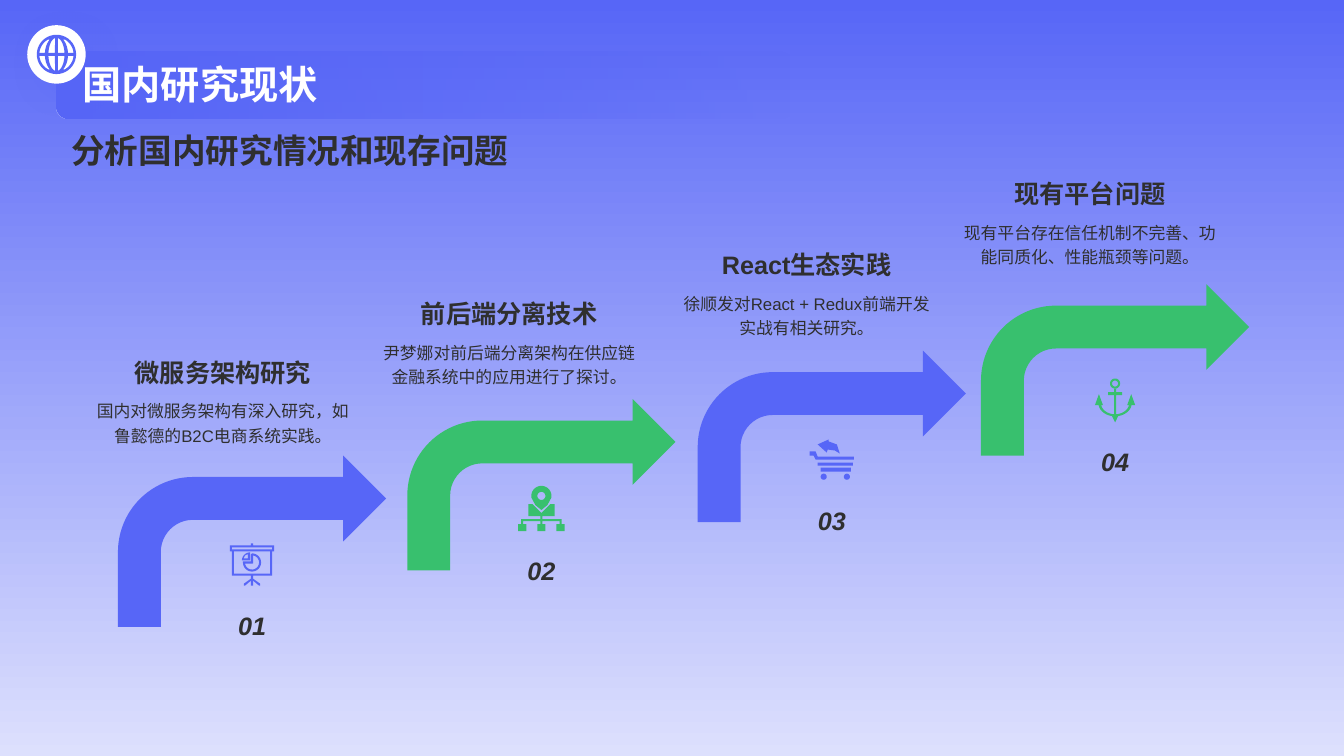
import dataclasses
import math

import lxml.etree
import pptx
import pptx.dml.color
import pptx.enum.shapes
import pptx.enum.text
import pptx.oxml.ns
import pptx.util

Inches = pptx.util.Inches
SHAPE = pptx.enum.shapes.MSO_SHAPE
ALIGN = pptx.enum.text.PP_ALIGN
ANCHOR = pptx.enum.text.MSO_ANCHOR


@dataclasses.dataclass(frozen=True)
class Theme:
    """Colours and type sizes of the slide."""
    blue: str = "5766F7"
    pale: str = "DDE0FD"
    green: str = "38C06E"
    white: str = "FFFFFF"
    ink: str = "2F2F2F"
    font: str = "Arial"
    title: int = 28
    subtitle: int = 24
    heading: int = 18
    body: int = 12


THEME = Theme()


def rgb(code):
    """Turn a hex code into a colour."""
    return pptx.dml.color.RGBColor.from_string(code)


def add_xml(parent, tag, **attributes):
    """Append a DrawingML element with the given attributes."""
    return lxml.etree.SubElement(parent, pptx.oxml.ns.qn(tag), attributes)


def set_gradient(fill, colours, angle):
    """Fill with a two-stop linear gradient."""
    fill.gradient()
    fill.gradient_angle = angle
    for stop, code in zip(fill.gradient_stops, colours):
        stop.color.rgb = rgb(code)


def write_text(shape, text, size, colour=THEME.ink, anchor=ANCHOR.TOP,
               align=ALIGN.LEFT, spacing=1.0, **font_values):
    """Put one formatted paragraph into a shape."""
    frame = shape.text_frame
    frame.text = text
    paragraph = frame.paragraphs[0]
    formats = {
        frame: {"word_wrap": True, "vertical_anchor": anchor,
                "auto_size": pptx.enum.text.MSO_AUTO_SIZE.NONE},
        paragraph: {"alignment": align, "line_spacing": spacing},
        paragraph.runs[0].font: {"name": THEME.font, "size": pptx.util.Pt(size), **font_values},
    }
    for target, values in formats.items():
        for name, value in values.items():
            setattr(target, name, value)
    paragraph.runs[0].font.color.rgb = rgb(colour)


def add_text(slide, box, text, size, **values):
    """Add a text box at left, top, width, height."""
    write_text(slide.shapes.add_textbox(*map(Inches, box)), text, size, **values)


def paint(shape, colour):
    """Give a shape a solid fill with no line or shadow."""
    shape.shadow.inherit = False
    shape.line.fill.background()
    shape.fill.solid()
    shape.fill.fore_color.rgb = rgb(colour)


def add_preset(slide, kind, box, colour):
    """Add a plain filled preset shape."""
    shape = slide.shapes.add_shape(kind, *map(Inches, box))
    paint(shape, colour)
    return shape


def arc(x, y, width, height, start=0, end=360):
    """List points along an ellipse with the given radii."""
    steps = max(4, abs(end - start) // 9)
    angles = [math.radians(start + (end - start) * i / steps) for i in range(steps + 1)]
    return [(x + width * math.cos(a), y + height * math.sin(a)) for a in angles]


def rectangle(left, top, right, bottom):
    """List the corners of a rectangle."""
    return [(left, top), (right, top), (right, bottom), (left, bottom)]


def mirror(points, horizontal=-1, vertical=1):
    """Scale points by a sign on each axis."""
    return [(x * horizontal, y * vertical) for x, y in points]


def globe():
    """Outline a globe with meridians and an equator."""
    inner = [(0.015, 0.015)] + arc(0, 0, 0.08, 0.165, 5, 80)
    outer = arc(0, 0, 0.17, 0.17, 5, 60) + arc(0, 0, 0.115, 0.18, 55, 5)
    return [arc(0, 0, 0.195, 0.195)] + [
        mirror(cell, x, y) for cell in (inner, outer) for x in (-1, 1) for y in (-1, 1)]


def board():
    """Outline a presentation board with a pie chart."""
    leg = [(0.01, 0.14), (0.08, 0.19), (0.08, 0.21), (0.07, 0.21), (0.01, 0.16)]
    return [
        rectangle(-0.22, -0.19, 0.22, -0.13), rectangle(-0.2, -0.17, 0.2, -0.15),
        rectangle(-0.2, -0.13, 0.2, 0.11), rectangle(-0.18, -0.13, 0.18, 0.09),
        rectangle(-0.01, -0.21, 0.01, -0.19), rectangle(-0.01, 0.11, 0.01, 0.21),
        leg, mirror(leg),
        arc(0, -0.02, 0.09, 0.09, -90, 180) + [(-0.09, -0.03), (-0.01, -0.03), (-0.01, -0.1)],
        arc(0, -0.02, 0.07, 0.07, -80, 170) + [(0.01, -0.01)],
        arc(-0.02, -0.04, 0.08, 0.08, 180, 270) + [(-0.02, -0.04)],
        arc(-0.04, -0.06, 0.04, 0.04, 180, 270) + [(-0.04, -0.06)]]


def network():
    """Outline a map pin above three linked nodes."""
    contours = [
        arc(0, -0.13, 0.1, 0.1, 170, 370) + [(0.06, -0.04), (0, 0.01), (-0.06, -0.04)],
        arc(0, -0.13, 0.04, 0.04),
        [(-0.13, -0.05), (-0.09, -0.05), (0, 0.04), (0.09, -0.05),
         (0.13, -0.05), (0.13, 0.07), (-0.13, 0.07)],
        rectangle(-0.01, 0.07, 0.01, 0.1), rectangle(-0.2, 0.1, 0.2, 0.12)]
    for x in (-0.19, 0, 0.19):
        contours += [rectangle(x - 0.01, 0.12, x + 0.01, 0.15),
                     rectangle(x - 0.04, 0.15, x + 0.04, 0.22)]
    return contours


def cart():
    """Outline a shopping cart with a return arrow."""
    return [
        arc(0.15, 0.17, 0.03, 0.03), arc(-0.08, 0.17, 0.03, 0.03),
        rectangle(-0.11, 0.08, 0.19, 0.12), rectangle(-0.14, 0.03, 0.21, 0.06),
        [(-0.22, -0.08), (-0.16, -0.08), (-0.14, -0.03), (0.22, -0.03),
         (0.22, 0), (-0.16, 0), (-0.18, -0.04), (-0.22, -0.04)],
        [(-0.03, -0.2), (-0.03, -0.18), (0.05, -0.15), (0.08, -0.06),
         (0.03, -0.09), (-0.04, -0.1), (-0.05, -0.07), (-0.14, -0.15)]]


def anchor():
    """Outline a ship's anchor."""
    fluke = [(0.16, -0.06), (0.2, 0.05), (0.12, 0.05)]
    return [
        arc(0, -0.165, 0.05, 0.05), arc(0, -0.165, 0.03, 0.03),
        rectangle(-0.01, -0.12, 0.01, -0.08), rectangle(-0.07, -0.08, 0.07, -0.05),
        rectangle(-0.01, -0.05, 0.01, 0.14),
        arc(0, 0.03, 0.165, 0.13, 10, 170) + arc(0, 0.03, 0.14, 0.11, 170, 10),
        [(-0.03, 0.16), (0.03, 0.16), (0, 0.22)], fluke, mirror(fluke)]


def add_icon(slide, contours, x, y, colour):
    """Draw contours as one freeform centred on a point."""
    outlines = [[(Inches(x + a), Inches(y + b)) for a, b in contour] for contour in contours]
    builder = slide.shapes.build_freeform(*outlines[0][0])
    for outline in outlines:
        builder.move_to(*outline[0])
        builder.add_line_segments(outline[1:], close=True)
    paint(builder.convert_to_shape(), colour)


def add_header(slide, title, subtitle):
    """Add the fading banner, globe badge, title and subtitle."""
    banner = add_preset(slide, SHAPE.ROUNDED_RECTANGLE, (0.56, 0.51, 7.31, 0.67), THEME.blue)
    set_gradient(banner.fill, (THEME.blue, THEME.blue), 0)
    colours = list(banner.element.spPr.iter(pptx.oxml.ns.qn("a:srgbClr")))
    add_xml(colours[-1], "a:alpha", val="0")
    badge = add_preset(slide, SHAPE.OVAL, (0.27, 0.25, 0.58, 0.58), THEME.white)
    effects = badge.element.spPr.find(pptx.oxml.ns.qn("a:effectLst"))
    shadow = add_xml(effects, "a:outerShdw", blurRad=str(pptx.util.Pt(20)),
                     dist=str(pptx.util.Pt(10)), dir="2700000")
    add_xml(add_xml(shadow, "a:srgbClr", val=THEME.blue), "a:alpha", val="30000")
    add_icon(slide, globe(), 0.56, 0.54, THEME.blue)
    holder = slide.shapes.title
    for name, value in zip(("left", "top", "width", "height"), (0.72, 0.14, 11.88, 0.98)):
        setattr(holder, name, Inches(value))
    write_text(holder, title, THEME.title, THEME.white, ANCHOR.BOTTOM, bold=True)
    holder.element.getparent().append(holder.element)
    add_text(slide, (0.61, 1.24, 5.42, 1.13), subtitle, THEME.subtitle, bold=True)


def add_step(slide, number, arrow, caption, number_top, icon, heading, body):
    """Add one bent arrow with its icon, number and caption."""
    colour = THEME.blue if number % 2 else THEME.green
    left, top = caption
    add_preset(slide, SHAPE.BENT_ARROW, (*arrow, 2.66, 1.7), colour)
    add_icon(slide, icon, arrow[0] + 1.33, number_top - 0.33, colour)
    add_text(slide, (arrow[0] + 0.47, number_top, 1.72, 0.55), f"{number:02}", THEME.heading,
             anchor=ANCHOR.MIDDLE, align=ALIGN.CENTER, bold=True, italic=True)
    add_text(slide, (left, top, 2.72, 0.81), body, THEME.body, align=ALIGN.CENTER, spacing=1.2)
    add_text(slide, (left, top - 0.68, 2.72, 0.68), heading, THEME.heading,
             anchor=ANCHOR.BOTTOM, align=ALIGN.CENTER, bold=True)


def main():
    """Build and save the slide."""
    presentation = pptx.Presentation()
    presentation.slide_width, presentation.slide_height = Inches(13.33), Inches(7.5)
    slide = presentation.slides.add_slide(presentation.slide_layouts.get_by_name("Title Only"))
    set_gradient(slide.background.fill, (THEME.blue, THEME.pale), 270)
    add_header(slide, "国内研究现状", "分析国内研究情况和现存问题")
    steps = [
        ((1.17, 4.52), (0.85, 3.89), 5.93, board(), "微服务架构研究",
         "国内对微服务架构有深入研究，如鲁懿德的B2C电商系统实践。"),
        ((4.04, 3.96), (3.69, 3.31), 5.38, network(), "前后端分离技术",
         "尹梦娜对前后端分离架构在供应链金融系统中的应用进行了探讨。"),
        ((6.92, 3.48), (6.64, 2.82), 4.89, cart(), "React生态实践",
         "徐顺发对React + Redux前端开发实战有相关研究。"),
        ((9.73, 2.82), (9.45, 2.12), 4.3, anchor(), "现有平台问题",
         "现有平台存在信任机制不完善、功能同质化、性能瓶颈等问题。"),
    ]
    for number, step in enumerate(steps, 1):
        add_step(slide, number, *step)
    presentation.save("out.pptx")


if __name__ == "__main__":
    main()
